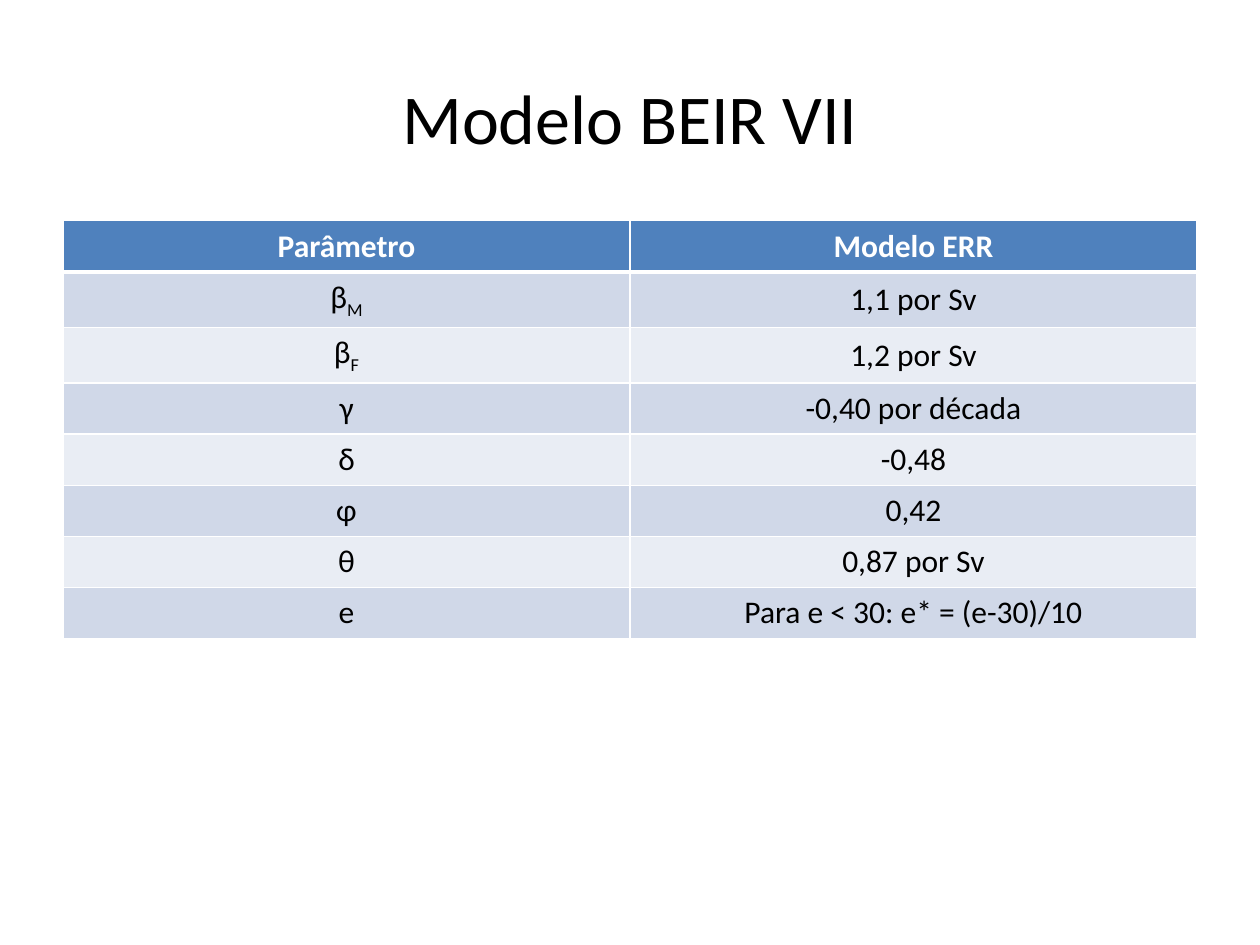
from dataclasses import dataclass

from lxml.etree import SubElement
from pptx import Presentation
from pptx.dml.color import RGBColor
from pptx.enum.text import MSO_ANCHOR as Anchor, PP_ALIGN as Align
from pptx.oxml.ns import qn
from pptx.util import Cm, Pt


@dataclass(frozen=True)
class Theme:
    """Colours, font and type sizes of the deck."""
    font: str = "Calibri"
    ink: str = "000000"
    paper: str = "FFFFFF"
    header: str = "4F81BD"
    bands: tuple = ("D0D8E8", "E9EDF4")
    title_size: int = 40
    body_size: int = 18
    rule: int = 1
    header_rule: int = 3


@dataclass(frozen=True)
class Box:
    """A region of the page in centimetres."""
    left: float
    top: float
    width: float
    height: float

    def lengths(self):
        """Return the four lengths as Cm values."""
        return Cm(self.left), Cm(self.top), Cm(self.width), Cm(self.height)


THEME = Theme()
PAGE = Box(0, 0, 25.4, 19.05)
MARGIN = 1.27
HEADINGS = ("Parâmetro", "Modelo ERR")
PARAMETERS = (
    (("β", "M"), "1,1 por Sv"),
    (("β", "F"), "1,2 por Sv"),
    ("γ", "-0,40 por década"),
    ("δ", "-0,48"),
    ("φ", "0,42"),
    ("θ", "0,87 por Sv"),
    ("e", "Para e < 30: e* = (e-30)/10"),
)


def write(para, text, size=THEME.body_size, color=THEME.ink, bold=False, subscript=False):
    """Append a formatted span to a centred paragraph."""
    para.alignment = Align.CENTER
    span = para.add_run()
    span.text = text
    font = span.font
    font.name, font.size, font.bold = THEME.font, Pt(size), bold
    font.color.rgb = RGBColor.from_string(color)
    if subscript:
        font._element.set("baseline", "-25000")


def set_borders(cell, **widths):
    """Draw cell borders in the paper colour, in points, keyed by L, R, T and B."""
    properties = cell._tc.get_or_add_tcPr()
    for index, side in enumerate("LRTB"):
        width = Pt(widths.get(side, THEME.rule))
        line = SubElement(properties, qn(f"a:ln{side}"), w=str(width))
        fill = SubElement(line, qn("a:solidFill"))
        SubElement(fill, qn("a:srgbClr"), val=THEME.paper)
        properties.insert(index, line)


def add_title(page, box, text):
    """Place the centred slide title in its box."""
    frame = page.shapes.add_textbox(*box.lengths()).text_frame
    frame.word_wrap = True
    frame.vertical_anchor = Anchor.MIDDLE
    write(frame.paragraphs[0], text, size=THEME.title_size)


def fill_cell(cell, content, fill, **text_format):
    """Colour a cell and write its text, with an optional subscript part."""
    cell.fill.solid()
    cell.fill.fore_color.rgb = RGBColor.from_string(fill)
    cell.vertical_anchor = Anchor.MIDDLE
    parts = (content,) if isinstance(content, str) else content
    for index, text in enumerate(parts):
        write(cell.text_frame.paragraphs[0], text, subscript=index > 0, **text_format)


def add_parameter_table(page, box, headings, records):
    """Place the banded parameter table in its box."""
    rows = (headings, *records)
    table = page.shapes.add_table(len(rows), len(headings), *box.lengths()).table
    for row_index, row in enumerate(rows):
        for column_index, content in enumerate(row):
            cell = table.cell(row_index, column_index)
            if row_index == 0:
                fill_cell(cell, content, THEME.header, color=THEME.paper, bold=True)
                set_borders(cell, B=THEME.header_rule)
            else:
                fill_cell(cell, content, THEME.bands[(row_index - 1) % 2])
                set_borders(cell, T=THEME.header_rule if row_index == 1 else THEME.rule)


def main():
    """Build the slide and save the deck."""
    deck = Presentation()
    deck.slide_width, deck.slide_height = Cm(PAGE.width), Cm(PAGE.height)
    page = deck.slides.add_slide(deck.slide_layouts[6])
    content_width = PAGE.width - 2 * MARGIN
    add_title(page, Box(MARGIN, 0.76, content_width, 3.18), "Modelo BEIR VII")
    add_parameter_table(page, Box(MARGIN, 4.45, content_width, 8.24), HEADINGS, PARAMETERS)
    deck.save("out.pptx")


if __name__ == "__main__":
    main()
